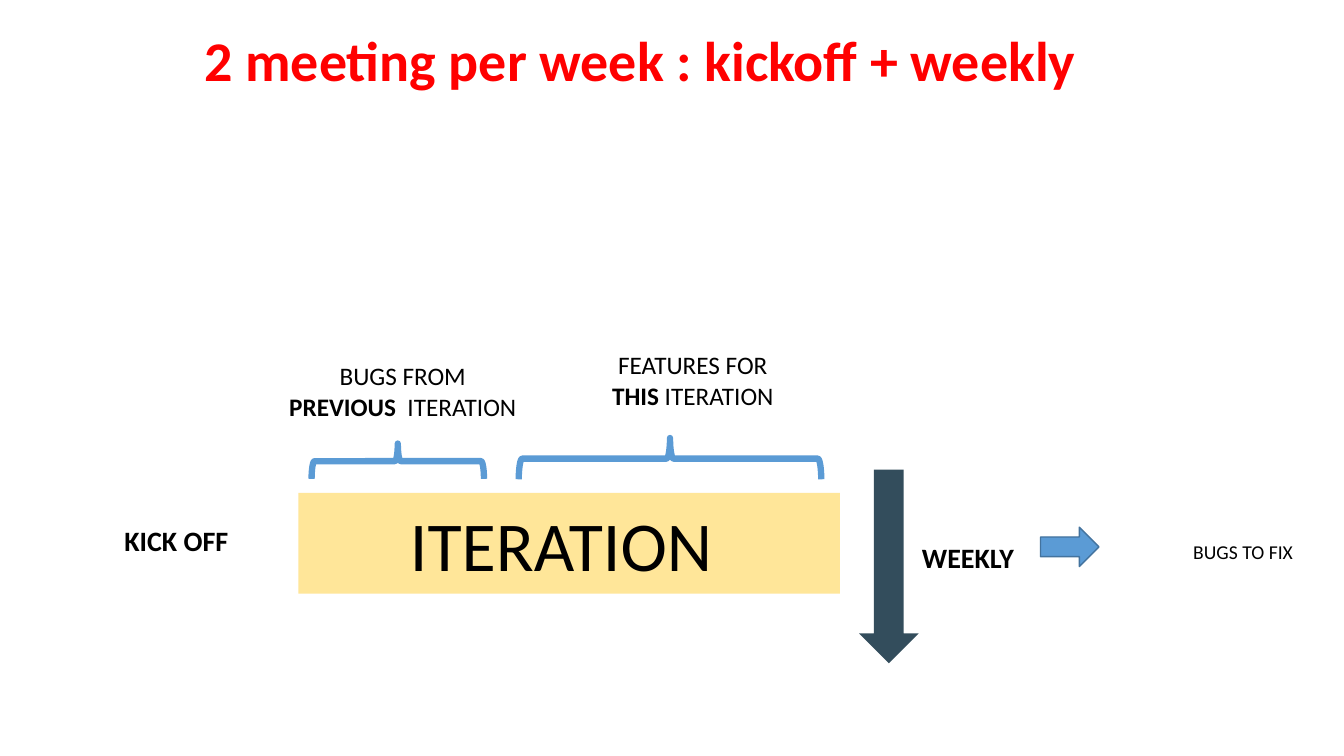
from dataclasses import dataclass

from pptx import Presentation
from pptx.dml.color import RGBColor
from pptx.enum.shapes import MSO_SHAPE as Preset
from pptx.enum.text import MSO_ANCHOR as Anchor, MSO_AUTO_SIZE as AutoSize, PP_ALIGN as Align
from pptx.slide import Slide
from pptx.text.text import TextFrame
from pptx.util import Emu, Pt

EMU_PER_PX = 9144  # 100 px to the inch
FONT = "Calibri"
COLORS = {
    "text": "000000",
    "title": "FF0000",
    "iteration": "FFE699",
    "blue": "5B9BD5",
    "blue_edge": "43739E",
    "weekly": "334D5C",
}

Box = tuple[int, int, int, int]  # left, top, width, height in px
Line = list[tuple[str, bool]]  # runs of text, each bold or not


@dataclass
class Figure:
    preset: Preset
    box: Box
    fill: str | None = None
    edge: str | None = None
    edge_pt: float = 1
    rotation: int = 0


@dataclass
class Label:
    box: Box
    size: int
    lines: list[Line]
    color: str = "text"
    align: Align = Align.CENTER


def px(length: int) -> Emu:
    return Emu(length * EMU_PER_PX)


def rgb(name: str) -> RGBColor:
    return RGBColor.from_string(COLORS[name])


def write(frame: TextFrame, lines: list[Line], size: int, color: str, align: Align) -> None:
    for index, line in enumerate(lines):
        paragraph = frame.add_paragraph() if index else frame.paragraphs[0]
        paragraph.alignment = align
        for text, bold in line:
            run = paragraph.add_run()
            run.text = text
            run.font.name = FONT
            run.font.size = Pt(size)
            run.font.bold = bold
            run.font.color.rgb = rgb(color)


def draw_figure(slide: Slide, figure: Figure) -> TextFrame:
    shape = slide.shapes.add_shape(figure.preset, *map(px, figure.box))
    shape.shadow.inherit = False
    shape.rotation = figure.rotation
    if figure.fill:
        shape.fill.solid()
        shape.fill.fore_color.rgb = rgb(figure.fill)
    else:
        shape.fill.background()
    if figure.edge:
        shape.line.color.rgb = rgb(figure.edge)
        shape.line.width = Pt(figure.edge_pt)
    else:
        shape.line.fill.background()
    return shape.text_frame


def draw_label(slide: Slide, label: Label) -> None:
    frame = slide.shapes.add_textbox(*map(px, label.box)).text_frame
    frame.word_wrap = False
    frame.auto_size = AutoSize.SHAPE_TO_FIT_TEXT
    write(frame, label.lines, label.size, label.color, label.align)


def brace(box: Box) -> Figure:
    return Figure(Preset.LEFT_BRACE, box, edge="blue", edge_pt=4.5, rotation=90)


ITERATION = Figure(Preset.RECTANGLE, (296, 489, 537, 100), fill="iteration")

FIGURES = [
    brace((377, 372, 35, 171)),
    brace((644, 305, 41, 300)),
    Figure(Preset.RIGHT_ARROW, (1032, 523, 58, 39), fill="blue", edge="blue_edge"),
    Figure(Preset.DOWN_ARROW, (852, 466, 59, 192), fill="weekly"),
]

LABELS = [
    Label((276, 353, 247, 71), 18,
          [[("BUGS FROM", False)], [("PREVIOUS", True), ("  ITERATION", False)]]),
    Label((597, 342, 186, 71), 18,
          [[("FEATURES FOR ", False)], [("THIS", True), (" ITERATION ", False)]]),
    Label((113, 514, 124, 44), 20, [[("KICK OFF", True)]]),
    Label((904, 531, 112, 44), 20, [[("WEEKLY", True)]]),
    Label((1173, 531, 120, 34), 14, [[("BUGS TO FIX", False)]]),
    Label((193, 20, 896, 77), 40, [[("2 meeting per week : kickoff + weekly", True)]],
          color="title", align=Align.LEFT),
]


def main() -> None:
    deck = Presentation()
    deck.slide_width, deck.slide_height = px(1333), px(750)
    slide = deck.slides.add_slide(deck.slide_layouts[6])

    # Iteration bar
    bar_text = draw_figure(slide, ITERATION)
    bar_text.vertical_anchor = Anchor.MIDDLE
    write(bar_text, [[("ITERATION ", False)]], 50, "text", Align.CENTER)

    # Braces and arrows
    for figure in FIGURES:
        draw_figure(slide, figure)

    # Title and captions
    for label in LABELS:
        draw_label(slide, label)

    deck.save("out.pptx")


if __name__ == "__main__":
    main()
